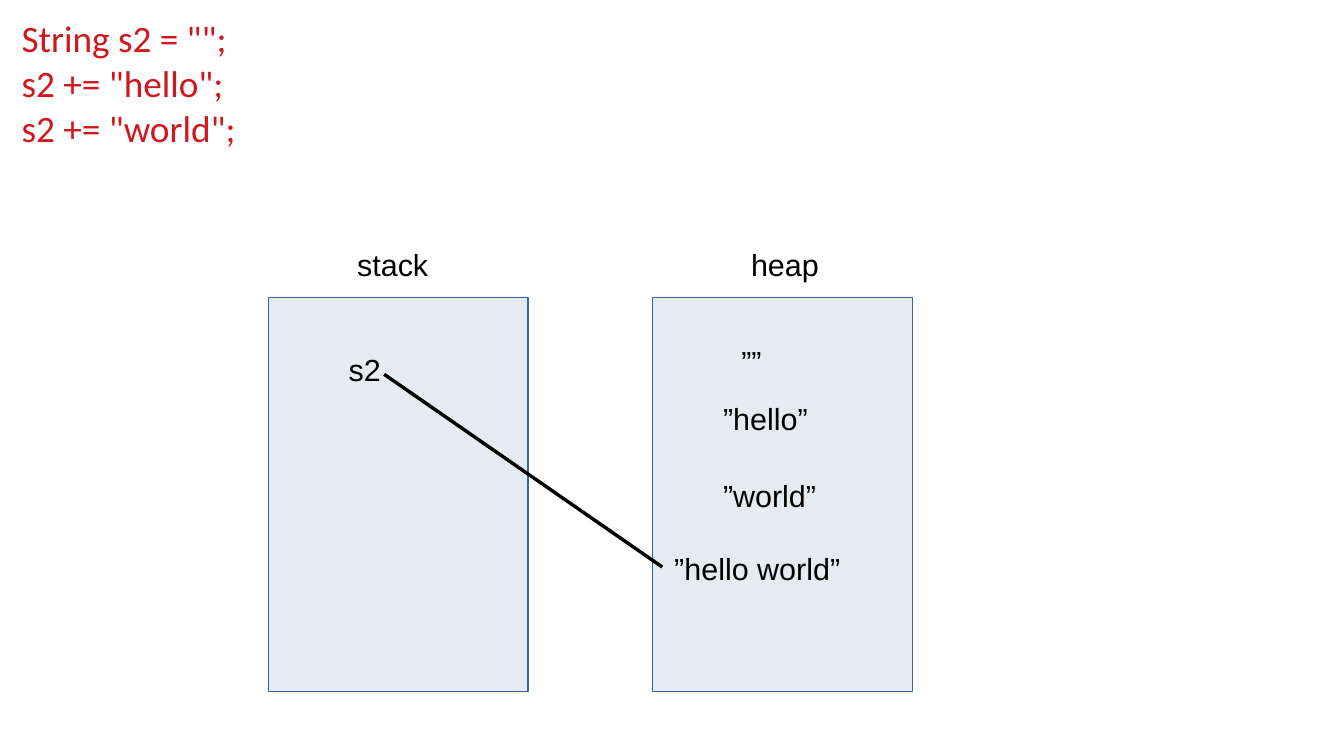
from pptx import Presentation
from pptx.dml.color import RGBColor
from pptx.enum.shapes import MSO_CONNECTOR, MSO_SHAPE
from pptx.oxml.ns import qn
from pptx.util import Inches, Pt
from lxml import etree

RECT = MSO_SHAPE.RECTANGLE
LINE = MSO_CONNECTOR.STRAIGHT
COLORS = {"code": "CE181E", "fill": "E4EBF3", "edge": "3465A4", "ink": "000000"}
CODE = ['String s2 = "";', 's2 += "hello";', 's2 += "world";']
STACK = (2.2, 2.44, 2.13, 3.23)
HEAP = (5.35, 2.44, 2.13, 3.23)


def color(name):
    return RGBColor.from_string(COLORS[name])


def add_text(slide, box, lines, font="Arial", size=18, ink="ink"):
    frame = slide.shapes.add_textbox(*map(Inches, box)).text_frame
    frame.word_wrap = True
    for i, line in enumerate(lines):
        para = frame.paragraphs[0] if i == 0 else frame.add_paragraph()
        run = para.add_run()
        run.text = line
        run.font.name = font
        run.font.size = Pt(size)
        run.font.color.rgb = color(ink)


def add_code(slide, box):
    add_text(slide, box, CODE, "Calibri", 22, "code")


def add_region(slide, box, labels):
    left, top, width, height = box
    rect = slide.shapes.add_shape(RECT, *map(Inches, box))
    rect.shadow.inherit = False
    rect.fill.solid()
    rect.fill.fore_color.rgb = color("fill")
    rect.line.color.rgb = color("edge")
    rect.line.width = Pt(0)
    for text, x, y, w, h in labels:
        add_text(slide, (left + x, top + y, w, h), [text])


def add_link(slide, start, end):
    link = slide.shapes.add_connector(LINE, *map(Inches, start + end))
    link.line.color.rgb = color("ink")
    link.line.width = Pt(0)
    etree.SubElement(link._element.spPr, qn("a:effectLst"))


def main():
    deck = Presentation()
    deck.slide_width = Inches(11.02)
    deck.slide_height = Inches(6.2)
    slide = deck.slides.add_slide(deck.slide_layouts[6])
    add_code(slide, (0.08, 0.08, 10.47, 1.89))
    add_region(slide, STACK, [
        ("stack", 0.63, -0.47, 1.02, 0.38),
        ("s2", 0.56, 0.39, 0.63, 0.38),
    ])
    add_region(slide, HEAP, [
        ("heap", 0.71, -0.47, 0.87, 0.38),
        ("””", 0.63, 0.32, 0.94, 0.38),
        ("”hello”", 0.48, 0.79, 1.18, 0.63),
        ("”world”", 0.48, 1.42, 1.18, 0.63),
        ("”hello world”", 0.08, 2.02, 2.28, 0.66),
    ])
    add_link(slide, (3.15, 3.07), (5.43, 4.65))
    deck.save("out.pptx")


if __name__ == "__main__":
    main()
